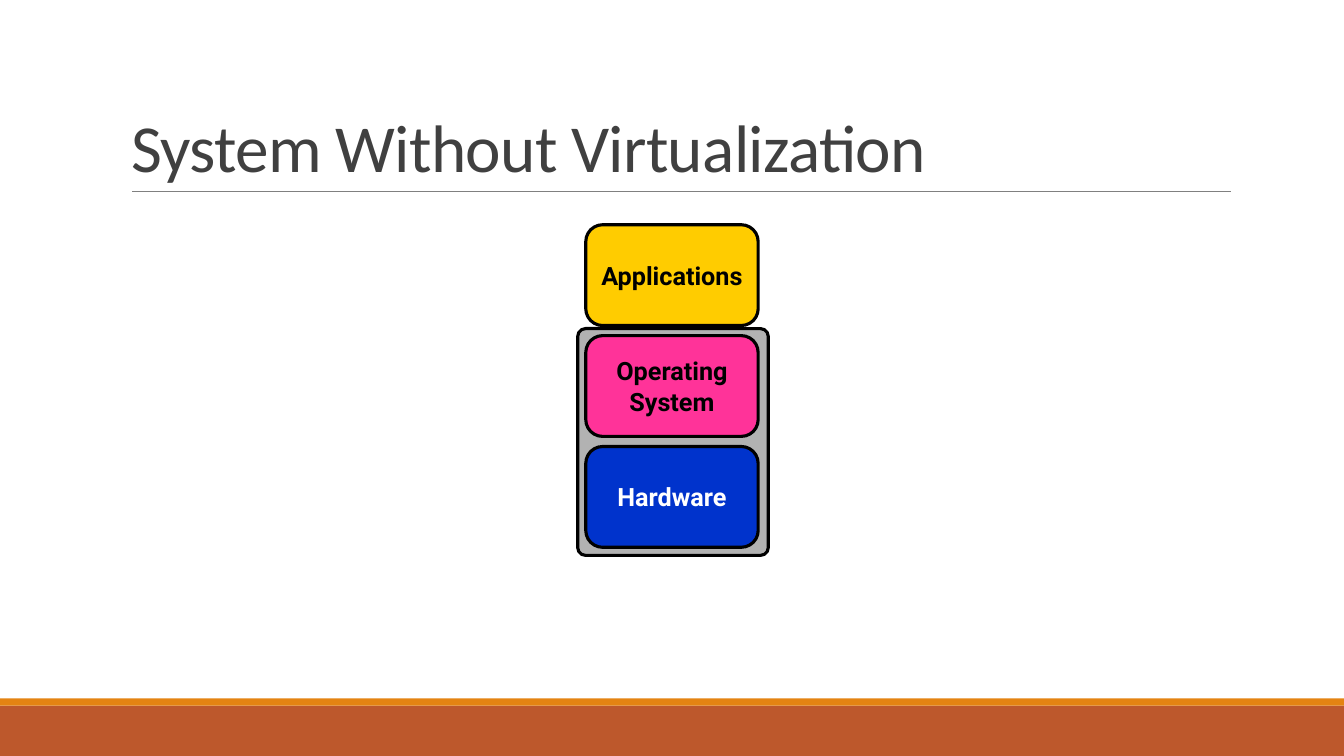
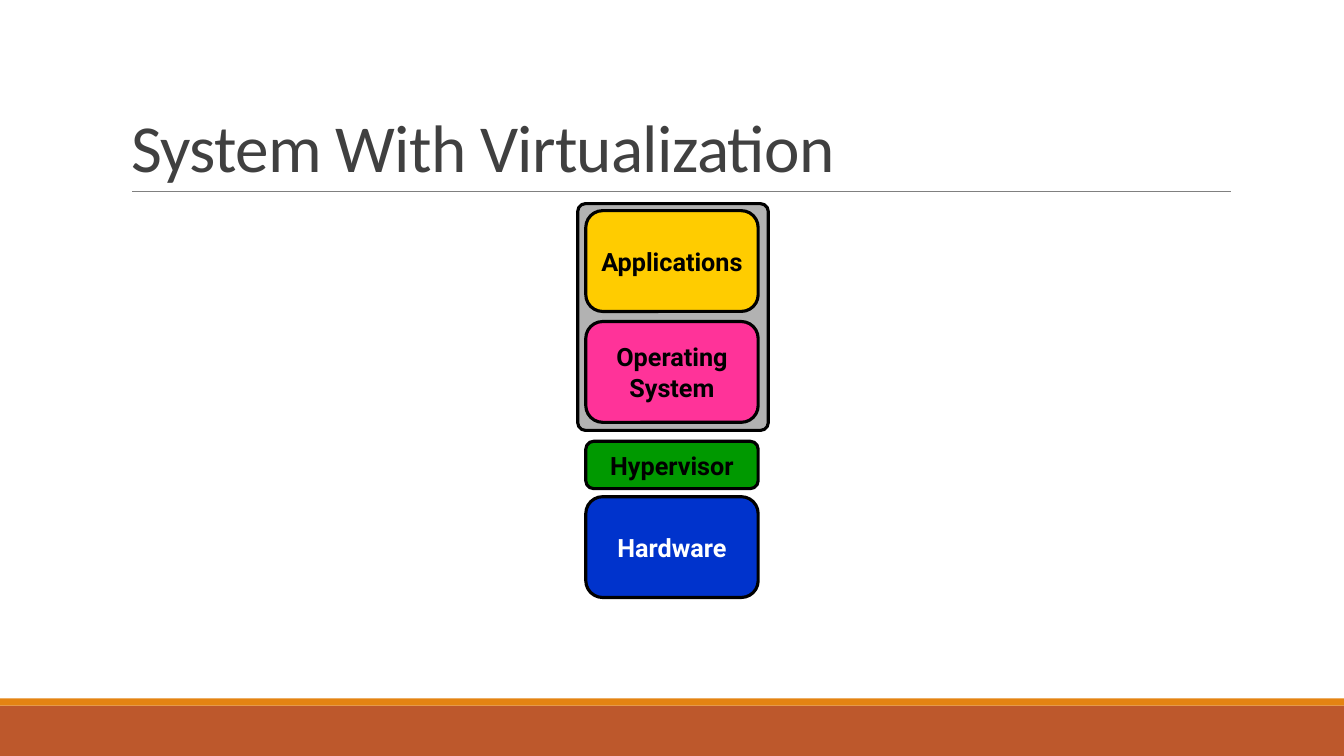
from dataclasses import dataclass

import pptx
import pptx.dml.color
import pptx.enum.shapes
import pptx.enum.text
import pptx.oxml
import pptx.oxml.ns
import pptx.util

RGBColor = pptx.dml.color.RGBColor
Inches = pptx.util.Inches
Pt = pptx.util.Pt
Shapes = pptx.enum.shapes.MSO_SHAPE
Anchor = pptx.enum.text.MSO_ANCHOR
Align = pptx.enum.text.PP_ALIGN

WHITE = RGBColor(0xFF, 0xFF, 0xFF)
BLACK = RGBColor(0, 0, 0)
TITLE_GREY = RGBColor(0x40, 0x40, 0x40)
RULE_GREY = RGBColor(0x80, 0x80, 0x80)
FRAME_GREY = RGBColor(0xB2, 0xB2, 0xB2)
RUST = RGBColor(0xBD, 0x58, 0x2C)
ORANGE = RGBColor(0xE4, 0x83, 0x12)
BLUE = RGBColor(0x00, 0x33, 0xCC)
PINK = RGBColor(0xFF, 0x33, 0x99)
YELLOW = RGBColor(0xFF, 0xCC, 0x00)
GREEN = RGBColor(0x00, 0x99, 0x00)

SLIDE_W, SLIDE_H = 13.33, 7.5
BAND_H, STRIPE_H = 0.5, 0.07
ROW = 1.1  # distance between the tops of stacked layers
LAYER_X, LAYER_W, LAYER_H = 5.81, 1.71, 1.0
FRAME_W, FRAME_H = 1.89, 2.25
FRAME_PAD_X, FRAME_PAD_Y = 0.08, 0.07
LAYER_ROUNDING, FRAME_ROUNDING = 0.167, 0.041


@dataclass(frozen=True)
class Layer:
    lines: tuple[str, ...]
    fill: RGBColor
    ink: RGBColor = BLACK
    height: float = LAYER_H


@dataclass(frozen=True)
class Stack:
    """Layers by row; the frame surrounds two layers from frame_row on."""
    title: str
    top: float
    frame_row: int
    layers: tuple[tuple[float, Layer], ...]


HARDWARE = Layer(("Hardware",), BLUE, WHITE)
SYSTEM = Layer(("Operating", "System"), PINK)
APPLICATIONS = Layer(("Applications",), YELLOW)
HYPERVISOR = Layer(("Hypervisor",), GREEN, height=0.47)

STACKS = (
    Stack("System Without Virtualization", 2.23, 1,
          ((2, HARDWARE), (1, SYSTEM), (0, APPLICATIONS))),
    Stack("System With Virtualization", 2.09, 0,
          ((2.58, HARDWARE), (1, SYSTEM), (0, APPLICATIONS), (2.08, HYPERVISOR))),
)


def add_box(slide, kind, left: float, top: float, width: float, height: float,
            fill: RGBColor):
    box = slide.shapes.add_shape(kind, Inches(left), Inches(top),
                                 Inches(width), Inches(height))
    box.shadow.inherit = False
    box.fill.solid()
    box.fill.fore_color.rgb = fill
    box.line.fill.background()
    return box


def add_rounded(slide, left: float, top: float, width: float, height: float,
                fill: RGBColor, rounding: float):
    box = add_box(slide, Shapes.ROUNDED_RECTANGLE, left, top, width, height, fill)
    box.adjustments[0] = rounding
    box.line.color.rgb = BLACK
    box.line.width = Pt(2.25)
    return box


def add_theme(slide) -> None:
    """Draw the bottom bands and the rule under the title."""
    band_top = SLIDE_H - BAND_H
    add_box(slide, Shapes.RECTANGLE, 0, band_top, SLIDE_W, BAND_H, RUST)
    add_box(slide, Shapes.RECTANGLE, 0, band_top - STRIPE_H, SLIDE_W, STRIPE_H, ORANGE)
    rule = slide.shapes.add_connector(
        pptx.enum.shapes.MSO_CONNECTOR.STRAIGHT,
        Inches(1.31), Inches(1.9), Inches(12.21), Inches(1.9))
    rule.line.color.rgb = RULE_GREY
    rule.line.width = Pt(0.5)
    properties = rule._element.spPr
    properties.append(properties.makeelement(pptx.oxml.ns.qn("a:effectLst"), {}))


def set_title(slide, wording: str) -> None:
    title = slide.shapes.title
    title.left, title.top = Inches(1.2), Inches(0.31)
    title.width, title.height = Inches(11), Inches(1.59)
    frame = title.text_frame
    frame.auto_size = pptx.enum.text.MSO_AUTO_SIZE.NONE
    frame.vertical_anchor = Anchor.BOTTOM
    paragraph = frame.paragraphs[0]
    paragraph.alignment = Align.LEFT
    paragraph.line_spacing = 0.85
    run = paragraph.add_run()
    run.text = wording
    run.font.name = "Calibri"
    run.font.size = Pt(48)
    run.font.color.rgb = TITLE_GREY
    run.font._element.set("spc", "-50")


def add_layer(slide, top: float, layer: Layer) -> None:
    box = add_rounded(slide, LAYER_X, top, LAYER_W, layer.height,
                      layer.fill, LAYER_ROUNDING)
    frame = box.text_frame
    frame.word_wrap = False
    frame.vertical_anchor = Anchor.MIDDLE
    for index, line in enumerate(layer.lines):
        paragraph = frame.add_paragraph() if index else frame.paragraphs[0]
        paragraph.alignment = Align.CENTER
        run = paragraph.add_run()
        run.text = line
        run.font.name = "Roboto"
        run.font.size = Pt(18)
        run.font.bold = True
        run.font.color.rgb = layer.ink


def add_stack_slide(deck, stack: Stack) -> None:
    slide = deck.slides.add_slide(deck.slide_layouts.get_by_name("Title Only"))
    add_theme(slide)
    set_title(slide, stack.title)
    add_rounded(slide, LAYER_X - FRAME_PAD_X,
                stack.top + stack.frame_row * ROW - FRAME_PAD_Y,
                FRAME_W, FRAME_H, FRAME_GREY, FRAME_ROUNDING)
    for row, layer in stack.layers:
        add_layer(slide, stack.top + row * ROW, layer)


def main() -> None:
    deck = pptx.Presentation()
    deck.slide_width, deck.slide_height = Inches(SLIDE_W), Inches(SLIDE_H)
    for stack in STACKS:
        add_stack_slide(deck, stack)
    deck.save("out.pptx")


if __name__ == "__main__":
    main()
